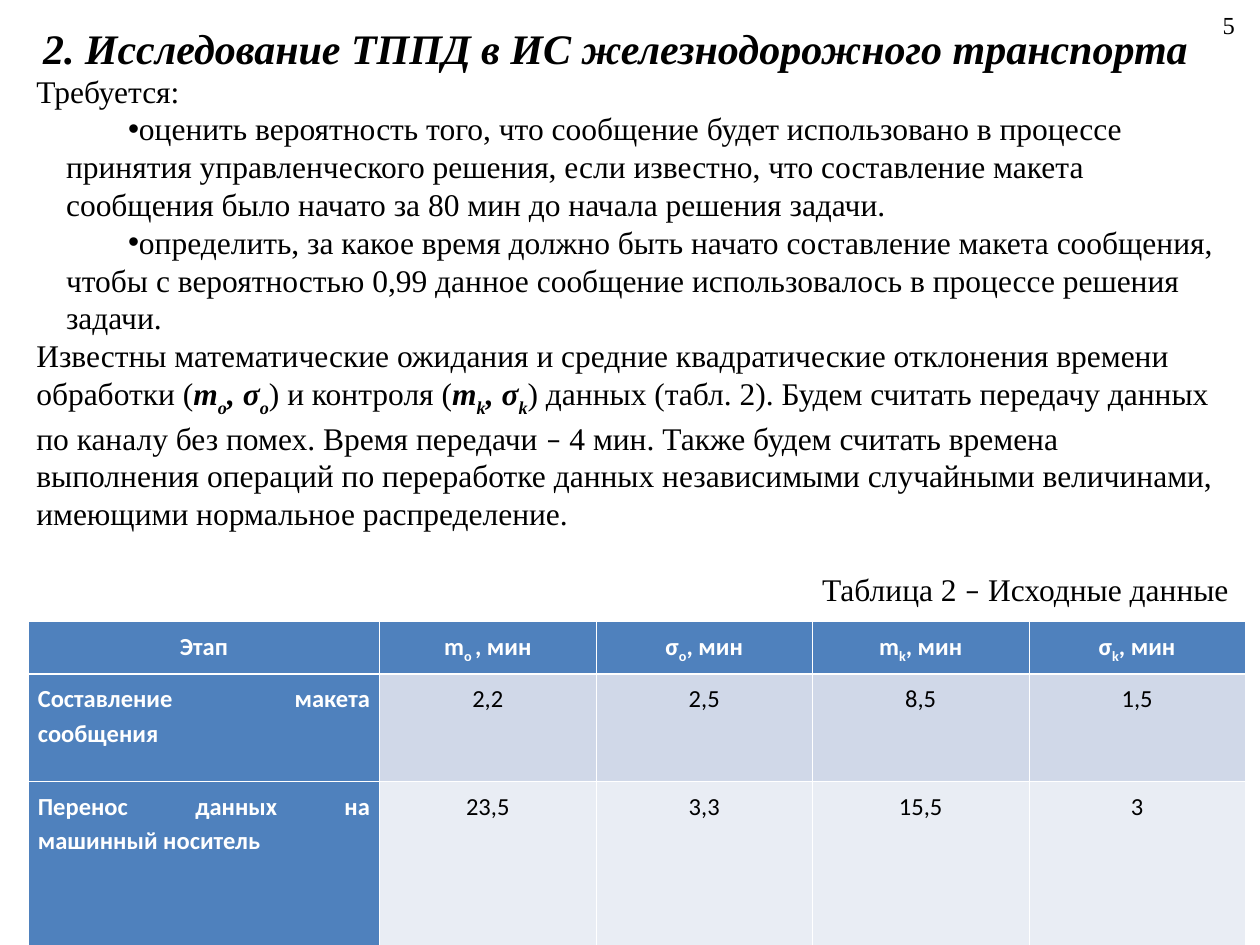
from dataclasses import dataclass

from lxml.etree import SubElement
from pptx import Presentation
from pptx.dml.color import RGBColor
from pptx.enum.text import MSO_ANCHOR, MSO_AUTO_SIZE, PP_ALIGN
from pptx.oxml.ns import qn
from pptx.util import Pt

BLACK = RGBColor(0x00, 0x00, 0x00)
WHITE = RGBColor(0xFF, 0xFF, 0xFF)
BLUE = RGBColor(0x4F, 0x81, 0xBD)
BANDS = (RGBColor(0xD0, 0xD8, 0xE8), RGBColor(0xE9, 0xED, 0xF4))
SERIF, SANS = "Times New Roman", "Calibri"
THIN, THICK = 0.45, 1.47


@dataclass(frozen=True)
class Run:
    text: str
    font: str = SERIF
    size: float = 18
    color: RGBColor = BLACK
    bold: bool = False
    italic: bool = False
    baseline: int = 0


@dataclass(frozen=True)
class Para:
    runs: tuple[Run, ...]
    align: PP_ALIGN = PP_ALIGN.LEFT
    bullet: bool = False
    before: float = 0
    spacing: float = 1.0


def fill_paragraph(p, para: Para) -> None:
    p.alignment = para.align
    p.line_spacing = para.spacing
    p.space_before = Pt(para.before)
    if para.bullet:
        pPr = p._p.get_or_add_pPr()
        pPr.set("marL", str(Pt(17)))
        pPr.set("indent", str(Pt(35.4)))
        SubElement(pPr, qn("a:buFont"), typeface="Arial")
        SubElement(pPr, qn("a:buChar"), char="•")
    for run in para.runs:
        r = p.add_run()
        r.text = run.text
        r.font.name = run.font
        r.font.size = Pt(run.size)
        r.font.color.rgb = run.color
        r.font.bold = run.bold
        r.font.italic = run.italic
        if run.baseline:
            r.font._element.set("baseline", str(run.baseline * 1000))


def fill_text(tf, paras: list[Para], anchor: MSO_ANCHOR) -> None:
    tf.word_wrap = True
    tf.auto_size = MSO_AUTO_SIZE.NONE
    tf.vertical_anchor = anchor
    for i, para in enumerate(paras):
        fill_paragraph(tf.add_paragraph() if i else tf.paragraphs[0], para)


def add_border(cell, side: str, width: float) -> None:
    tcPr = cell._tc.get_or_add_tcPr()
    ln = SubElement(tcPr, qn(f"a:{side}"), w=str(Pt(width)))
    fill = SubElement(ln, qn("a:solidFill"))
    SubElement(fill, qn("a:srgbClr"), val=str(WHITE))


def fill_cell(cell, row: int, col: int, runs: tuple[Run, ...]) -> None:
    cell.margin_left = cell.margin_right = Pt(5.4)
    cell.margin_top = cell.margin_bottom = Pt(3.6)
    add_border(cell, "lnL", THIN)
    add_border(cell, "lnR", THIN)
    add_border(cell, "lnT", THICK if row == 1 else THIN)
    add_border(cell, "lnB", THICK if row == 0 else THIN)
    cell.fill.solid()
    cell.fill.fore_color.rgb = BLUE if row == 0 or col == 0 else BANDS[row - 1]
    align = PP_ALIGN.JUSTIFY if row and col == 0 else PP_ALIGN.CENTER
    fill_paragraph(cell.text_frame.paragraphs[0], Para(runs, align, spacing=1.15))


def head(text: str, baseline: int = 0) -> Run:
    return Run(text, SANS, 14, WHITE, bold=True, baseline=baseline)


def quantity(symbol: str, index: str) -> tuple[Run, ...]:
    return head(symbol), head(index, -25), head(", мин")


def symbols(index: str) -> tuple[Run, ...]:
    """Mean and deviation with a shared subscript."""
    return tuple(
        Run(text, bold=True, italic=True, baseline=base)
        for text, base in (("m", 0), (index, -30), (", σ", 0), (index, -30))
    )


BODY = [
    Para((Run("Требуется:"),)),
    Para((Run("оценить вероятность того, что сообщение будет использовано в процессе "
              "принятия управленческого решения, если известно, что составление макета "
              "сообщения было начато за 80 мин до начала решения задачи."),), bullet=True),
    Para((Run("определить, за какое время должно быть начато составление макета "
              "сообщения, чтобы с вероятностью 0,99 данное сообщение использовалось "
              "в процессе решения задачи."),), bullet=True),
    Para((
        Run("Известны математические ожидания и средние квадратические отклонения "
            "времени обработки ("),
        *symbols("o"),
        Run(") и контроля ("),
        *symbols("k"),
        Run(") данных (табл. 2). Будем считать передачу данных по каналу без помех. "
            "Время передачи "),
        Run("–", SANS),
        Run(" 4 мин. Также будем считать времена выполнения операций по переработке "
            "данных независимыми случайными величинами, имеющими нормальное "
            "распределение."),
    )),
    Para((Run("Таблица 2 "), Run("–", SANS), Run(" Исходные данные")),
         PP_ALIGN.RIGHT, before=21.5),
]
HEADER = [(head("Этап"),), quantity("m", "o "), quantity("σ", "o"),
          quantity("m", "k"), quantity("σ", "k")]
STAGES = [
    ("Составление макета сообщения", "2,2", "2,5", "8,5", "1,5"),
    ("Перенос данных на машинный носитель", "23,5", "3,3", "15,5", "3"),
]
COL_WIDTHS = (200.7, *[123.7] * 4)
ROW_HEIGHTS = (30, 61.6, 93.4)


def main() -> None:
    prs = Presentation()
    prs.slide_width, prs.slide_height = Pt(720), Pt(540)
    s = prs.slides.add_slide(prs.slide_layouts[5])

    # Title
    sp = s.shapes.title
    sp.left, sp.top, sp.width, sp.height = Pt(14.4), Pt(9.4), Pt(674.6), Pt(39.6)
    tf = sp.text_frame
    tf.margin_left = tf.margin_right = 0
    tf.margin_top = Pt(3.6)
    tf.margin_bottom = Pt(7)
    title = Run("2. Исследование ТППД в ИС железнодорожного транспорта",
                size=24, bold=True, italic=True)
    fill_text(tf, [Para((title,), PP_ALIGN.CENTER)], MSO_ANCHOR.MIDDLE)

    # Page number
    sp = s.shapes.add_textbox(Pt(683.3), Pt(0), Pt(29.5), Pt(28.8))
    fill_text(sp.text_frame, [Para((Run("5", size=14),), PP_ALIGN.RIGHT)],
              MSO_ANCHOR.MIDDLE)

    # Table of initial data
    table = s.shapes.add_table(len(ROW_HEIGHTS), len(COL_WIDTHS), Pt(16.2), Pt(355),
                               Pt(sum(COL_WIDTHS)), Pt(sum(ROW_HEIGHTS))).table
    for column, width in zip(table.columns, COL_WIDTHS):
        column.width = Pt(width)
    for row, height in zip(table.rows, ROW_HEIGHTS):
        row.height = Pt(height)
    stages = [[(head(name),), *((Run(v, SANS, 14),) for v in values)]
              for name, *values in STAGES]
    for i, cells in enumerate([HEADER, *stages]):
        for j, runs in enumerate(cells):
            fill_cell(table.cell(i, j), i, j, runs)

    # Problem statement and table caption
    sp = s.shapes.add_textbox(Pt(13.7), Pt(37.4), Pt(695.5), Pt(335.5))
    fill_text(sp.text_frame, BODY, MSO_ANCHOR.TOP)

    prs.save("out.pptx")


if __name__ == "__main__":
    main()
